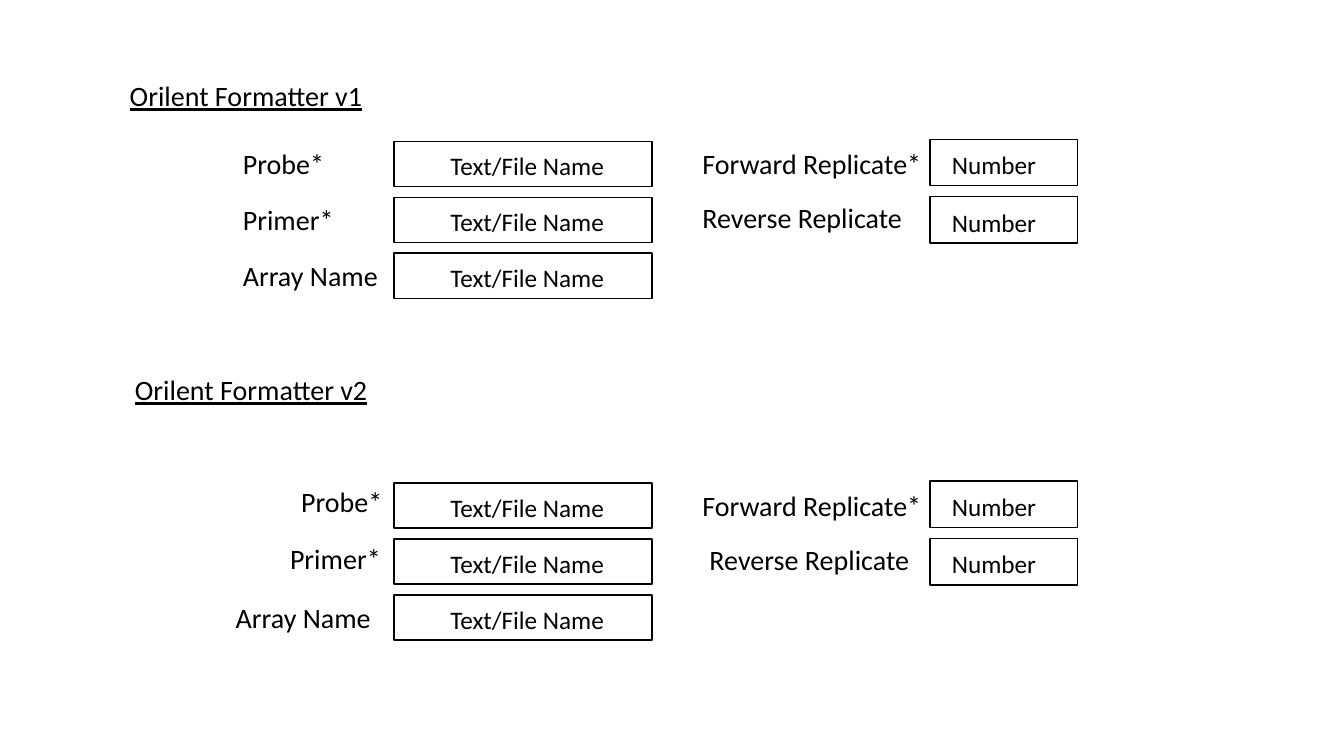
from typing import NamedTuple

from pptx import Presentation
from pptx.dml.color import RGBColor
from pptx.enum.shapes import MSO_SHAPE
from pptx.enum.text import MSO_AUTO_SIZE
from pptx.util import Cm, Pt

RECTANGLE = MSO_SHAPE.RECTANGLE
GROW = MSO_AUTO_SIZE.SHAPE_TO_FIT_TEXT
BLACK = RGBColor(0x00, 0x00, 0x00)
WHITE = RGBColor(0xFF, 0xFF, 0xFF)
FONT = "Calibri"
LABEL_HEIGHT = 1.12


class Label(NamedTuple):
    """A caption; lengths in cm."""
    text: str
    left: float
    top: float
    width: float
    underline: bool = False


class FieldColumn(NamedTuple):
    """A column of equal input fields; lengths in cm."""
    hint: str
    count: int
    left: float
    top: float
    width: float
    height: float
    pitch: float
    hint_left: float
    hint_top: float
    hint_width: float
    hint_height: float


# Both versions of the form share these fields
FIELD_COLUMNS = [
    FieldColumn("Text/File Name", 3, 9.93, 3.56, 6.5, 1.14, 1.41,
                1.17, 0.11, 4.45, 0.89),
    FieldColumn("Number", 2, 23.44, 3.51, 3.71, 1.17, 1.45,
                0.3, 0.13, 2.79, 0.91),
]
VERSION_OFFSETS = [0, 8.61]

LABELS = [
    # Version 1
    Label("Orilent Formatter v1", 3.02, 1.85, 6.78, True),
    Label("Probe*", 5.87, 3.56, 2.9),
    Label("Primer*", 5.87, 4.98, 2.9),
    Label("Array Name", 5.87, 6.4, 4.52),
    Label("Forward Replicate*", 17.45, 3.56, 6.15),
    Label("Reverse Replicate", 17.45, 4.93, 5.69),
    # Version 2
    Label("Orilent Formatter v2", 3.15, 9.27, 6.78, True),
    Label("Probe*", 7.34, 12.09, 2.9),
    Label("Primer*", 7.06, 13.51, 2.9),
    Label("Array Name", 5.69, 15.01, 4.52),
    Label("Forward Replicate*", 17.45, 12.19, 6.15),
    Label("Reverse Replicate", 17.63, 13.54, 5.69),
]


def add_text(shapes, text: str, left: float, top: float, width: float,
             height: float, size: int, underline: bool = False) -> None:
    box = shapes.add_textbox(Cm(left), Cm(top), Cm(width), Cm(height))
    box.text_frame.word_wrap = True
    box.text_frame.auto_size = GROW
    run = box.text_frame.paragraphs[0].add_run()
    run.text = text
    run.font.name = FONT
    run.font.size = Pt(size)
    run.font.underline = underline
    run.font.color.rgb = BLACK


def add_fields(shapes, column: FieldColumn, offset: float) -> None:
    for row in range(column.count):
        top = column.top + offset + row * column.pitch
        field = shapes.add_group_shape().shapes
        frame = field.add_shape(RECTANGLE, Cm(column.left), Cm(top),
                                Cm(column.width), Cm(column.height))
        frame.shadow.inherit = False
        frame.fill.solid()
        frame.fill.fore_color.rgb = WHITE
        frame.line.color.rgb = BLACK
        frame.line.width = Pt(1)
        add_text(field, column.hint, column.left + column.hint_left,
                 top + column.hint_top, column.hint_width,
                 column.hint_height, 18)


presentation = Presentation()
presentation.slide_width = Cm(33.87)
presentation.slide_height = Cm(19.05)
slide = presentation.slides.add_slide(presentation.slide_layouts[6])

# Input fields
for version_offset in VERSION_OFFSETS:
    for field_column in FIELD_COLUMNS:
        add_fields(slide.shapes, field_column, version_offset)

# Headings and field labels
for label in LABELS:
    add_text(slide.shapes, label.text, label.left, label.top, label.width,
             LABEL_HEIGHT, 20, label.underline)

presentation.save("out.pptx")
